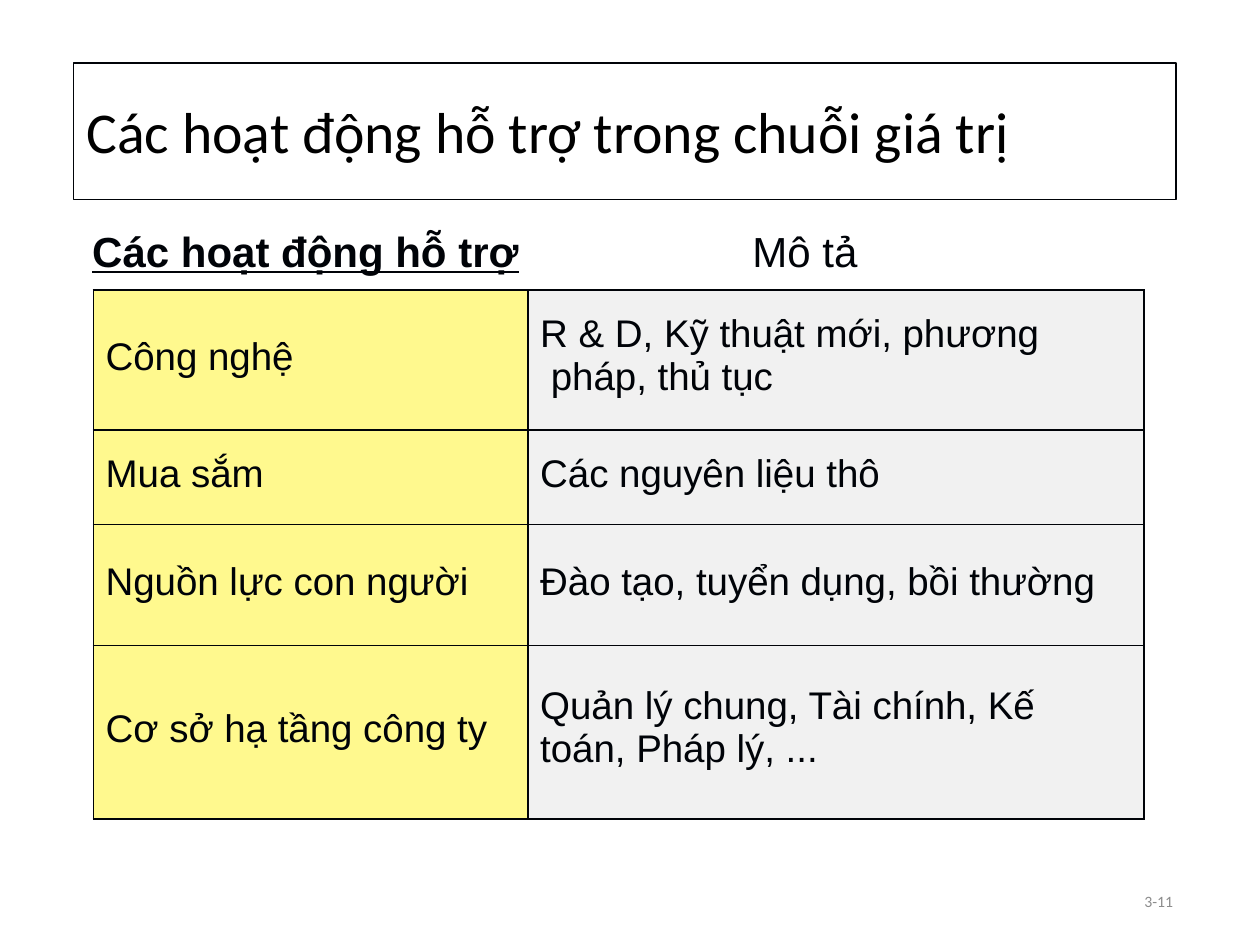
"""Build a slide listing the support activities of the value chain."""
from lxml.etree import SubElement
from pptx import Presentation
from pptx.dml.color import RGBColor
from pptx.enum.shapes import MSO_SHAPE
from pptx.enum.text import MSO_ANCHOR, MSO_AUTO_SIZE, PP_ALIGN
from pptx.oxml import parse_xml
from pptx.oxml.ns import nsdecls, qn
from pptx.util import Cm, Pt

INK = RGBColor(0x00, 0x03, 0x08)
BLACK = RGBColor(0x00, 0x00, 0x00)
GRAY = RGBColor(0x8C, 0x8C, 0x8C)
YELLOW = RGBColor(0xFF, 0xF9, 0x8E)
PALE = RGBColor(0xF1, 0xF1, 0xF1)

TITLE = "Các hoạt động hỗ trợ trong chuỗi giá trị"
HEADINGS = ("Các hoạt động hỗ trợ", "Mô tả")
PAGE_NUMBER = "3-11"
COLUMNS = ((8.76, YELLOW), (12.42, PALE))
ROWS = (
    (2.82, (("Công nghệ", 0.91), ("R & D, Kỹ thuật mới, phương\v pháp, thủ tục", 0.46))),
    (1.9, (("Mua sắm", 0.46), ("Các nguyên liệu thô", 0.46))),
    (2.44, (("Nguồn lực con người", 0.74), ("Đào tạo, tuyển dụng, bồi thường", 0.74))),
    (3.5, (("Cơ sở hạ tầng công ty", 1.26),
           ("Quản lý chung, Tài chính, Kế\ntoán, Pháp lý, ...", 0.79))),
)


def set_font(paragraph, name, size, color):
    paragraph.font.name = name
    paragraph.font.size = Pt(size)
    paragraph.font.color.rgb = color


def prepare_frame(frame, anchor, left=0.03):
    frame.word_wrap = True
    frame.auto_size = MSO_AUTO_SIZE.NONE
    frame.vertical_anchor = anchor
    frame.margin_left = Cm(left)
    frame.margin_top = Cm(0.03)
    frame.margin_right = frame.margin_bottom = 0


def add_text_box(slide, left, top, width, height, anchor):
    box = slide.shapes.add_textbox(Cm(left), Cm(top), Cm(width), Cm(height))
    prepare_frame(box.text_frame, anchor)
    return box.text_frame.paragraphs[0]


def add_title(slide):
    border = slide.shapes.add_shape(MSO_SHAPE.RECTANGLE, Cm(1.48), Cm(1.27), Cm(22.23), Cm(2.75))
    border.shadow.inherit = False
    border.fill.background()
    border.line.color.rgb = INK
    border.line.width = Pt(0.75)
    title = slide.shapes.title
    title.left, title.top, title.width, title.height = Cm(1.71), Cm(1.91), Cm(19.69), Cm(1.42)
    prepare_frame(title.text_frame, MSO_ANCHOR.MIDDLE)
    title.text_frame.text = TITLE
    paragraph = title.text_frame.paragraphs[0]
    paragraph.alignment = PP_ALIGN.LEFT
    set_font(paragraph, "Calibri", 33, BLACK)


def add_headings(slide):
    paragraph = add_text_box(slide, 1.83, 4.52, 15.47, 1.09, MSO_ANCHOR.TOP)
    tabs = SubElement(paragraph._p.get_or_add_pPr(), qn("a:tabLst"))
    SubElement(tabs, qn("a:tab"), pos=str(Cm(13.31)), algn="l")
    set_font(paragraph, "Arial", 24, INK)
    activity, description = HEADINGS
    run = paragraph.add_run()
    run.text = activity
    run.font.bold = run.font.underline = True
    paragraph.add_run().text = "\t" + description


def add_borders(cell):
    properties = cell._tc.get_or_add_tcPr()
    for side in "LRTB":
        properties.append(parse_xml(
            f'<a:ln{side} {nsdecls("a")} w="{Pt(1)}"><a:solidFill>'
            f'<a:srgbClr val="{INK}"/></a:solidFill></a:ln{side}>'))


def add_activity_table(slide):
    width = sum(column[0] for column in COLUMNS)
    height = sum(row[0] for row in ROWS)
    table = slide.shapes.add_table(
        len(ROWS), len(COLUMNS), Cm(1.88), Cm(5.85), Cm(width), Cm(height)).table
    table.first_row = table.horz_banding = False
    for column, (column_width, _) in zip(table.columns, COLUMNS):
        column.width = Cm(column_width)
    for row, (row_height, entries) in zip(table.rows, ROWS):
        row.height = Cm(row_height)
        for cell, (text, top), (_, color) in zip(row.cells, entries, COLUMNS):
            cell.margin_left, cell.margin_top = Cm(0.25), Cm(top)
            cell.margin_right = cell.margin_bottom = 0
            add_borders(cell)
            cell.fill.solid()
            cell.fill.fore_color.rgb = color
            cell.text = text
            for paragraph in cell.text_frame.paragraphs:
                set_font(paragraph, "Arial", 22, INK)


def add_page_number(slide):
    paragraph = add_text_box(slide, 17.93, 17.65, 5.72, 1.02, MSO_ANCHOR.MIDDLE)
    paragraph.text = PAGE_NUMBER
    paragraph.alignment = PP_ALIGN.RIGHT
    set_font(paragraph, "Calibri", 9, GRAY)


def main():
    presentation = Presentation()
    presentation.slide_width, presentation.slide_height = Cm(25.4), Cm(19.05)
    slide = presentation.slides.add_slide(presentation.slide_layouts[5])
    add_title(slide)
    add_page_number(slide)
    add_activity_table(slide)
    add_headings(slide)
    presentation.save("out.pptx")


if __name__ == "__main__":
    main()
